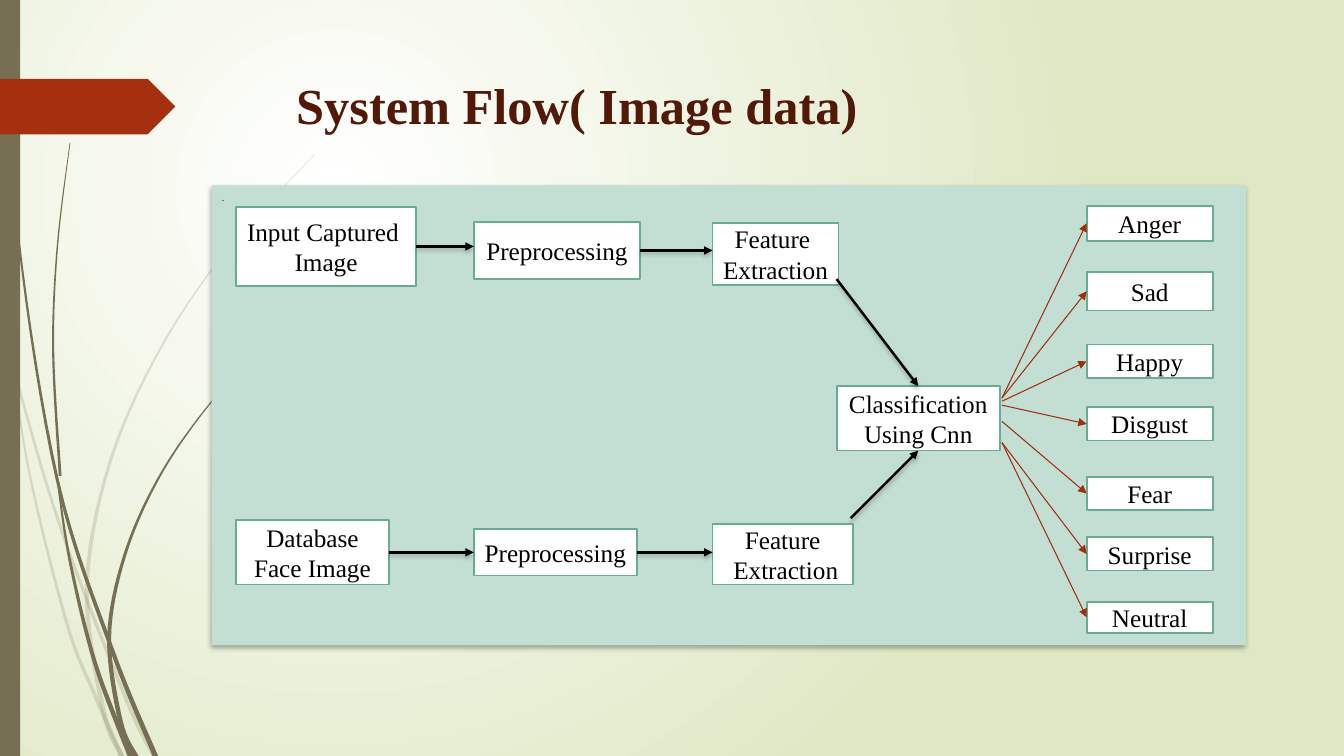
"""Build the system flow slide for emotion recognition from image data."""
from typing import NamedTuple

from lxml import etree
from pptx import Presentation
from pptx.dml.color import RGBColor
from pptx.enum.shapes import MSO_CONNECTOR, MSO_SHAPE
from pptx.enum.text import MSO_ANCHOR, PP_ALIGN
from pptx.oxml.ns import qn
from pptx.util import Pt

RECT, PENTAGON = MSO_SHAPE.RECTANGLE, MSO_SHAPE.PENTAGON
STRAIGHT = MSO_CONNECTOR.STRAIGHT
TOP, MIDDLE = MSO_ANCHOR.TOP, MSO_ANCHOR.MIDDLE
LEFT, CENTER = PP_ALIGN.LEFT, PP_ALIGN.CENTER


class Area(NamedTuple):
    left: float
    top: float
    width: float
    height: float

    @property
    def right(self):
        return self.left + self.width

    @property
    def bottom(self):
        return self.top + self.height

    @property
    def center(self):
        return self.left + self.width / 2

    @property
    def middle(self):
        return self.top + self.height / 2


THEME = {
    "font": "Times New Roman", "title_size": 36, "box_size": 18, "dot_size": 8,
    "glow": "FFFFFF", "backdrop": "DFE8C4", "stalk": "766F54", "banner": "A53010",
    "title": "521808", "panel": "C3DED3", "dot": "002060", "box": "FFFFFF",
    "border": "6AAC91", "ink": "000000", "ray": "9E2E0F",
    "border_width": 1.25, "step_width": 1.75, "ray_width": 0.75,
}

SLIDE_WIDTH, SLIDE_HEIGHT = 960, 540
TITLE = "System Flow( Image data)"
TITLE_AREA = Area(204.5, 49.5, 685.4, 74.2)
PANEL_AREA = Area(151.2, 132.5, 738.7, 328.3)
BANNER_AREA = Area(0, 56.3, 125.3, 39.6)
SIDEBAR_AREA = Area(0, 0, 14.4, SLIDE_HEIGHT)

SOURCE_LEFT, PREP_LEFT, FEATURES_LEFT, CLASSIFIER_LEFT = 168.5, 338.4, 509, 597.6
STAGES = {
    "input": (["Input Captured ", "Image"], Area(SOURCE_LEFT, 147.6, 128.9, 56.9)),
    "image prep": (["Preprocessing"], Area(PREP_LEFT, 158.4, 118.8, 41)),
    "image features": (["Feature ", "Extraction"], Area(FEATURES_LEFT, 159.1, 90, 44.6)),
    "classifier": (["Classification", "Using Cnn"], Area(CLASSIFIER_LEFT, 275.8, 116.6, 46.1)),
    "database": (["Database Face Image"], Area(SOURCE_LEFT, 371.5, 109.4, 46.1)),
    "face prep": (["Preprocessing"], Area(PREP_LEFT, 378, 116.6, 33.1)),
    "face features": (["Feature", " Extraction"], Area(FEATURES_LEFT, 374.4, 100.1, 43.2)),
}
STEPS = [
    ("input", "image prep"), ("image prep", "image features"),
    ("database", "face prep"), ("face prep", "face features"),
]
IMAGE_EXIT, FACE_EXIT = (597.6, 199.4), (607.7, 370.1)

EMOTION_LEFT, EMOTION_WIDTH, RAY_LEFT = 776.2, 90, 715.7
EMOTIONS = [
    ("Anger", 146.9, 25.2, 284.4), ("Sad", 194.4, 27.4, 284.4),
    ("Happy", 246.2, 23.8, 286.6), ("Disgust", 290.9, 23.8, 289.4),
    ("Fear", 340.6, 23.8, 301), ("Surprise", 383.8, 23.8, 316.1),
    ("Neutral", 429.8, 22.3, 316.1),
]

PALE_OPACITY, DARK_OPACITY = 20, 100
CURVE_STEPS = 8
STALKS = [
    (PALE_OPACITY, 1, 3.5, [(0, 209), (9, 259), (43, 376), (90, 499), (110, 540)]),
    (PALE_OPACITY, 1, 3.5, [(8, 252), (21, 338), (48, 446), (68, 497), (87, 540)]),
    (PALE_OPACITY, 0.5, 4, [(225, 110), (164, 176), (114, 250), (78, 332), (62, 421),
                            (74, 508), (87, 540)]),
    (DARK_OPACITY, 0.5, 4, [(2.5, 0), (13, 168), (41, 343), (80, 464), (111, 540)]),
    (DARK_OPACITY, 1, 4, [(41, 343), (50, 401), (68, 474), (93, 540)]),
    (DARK_OPACITY, 0.5, 2, [(50, 102), (41, 176), (38, 251), (43, 340)]),
    (DARK_OPACITY, 0.5, 4, [(187, 248), (147, 292), (113, 342), (89, 397), (78, 455),
                            (86, 515), (97, 540)]),
]


def theme_color(key):
    return RGBColor.from_string(THEME[key])


def add_child(parent, tag, **attributes):
    child = etree.SubElement(parent, qn(tag))
    for key, value in attributes.items():
        child.set(key, str(value))
    return child


def cast_shadow(effects, blur, distance, opacity):
    cast = add_child(effects, "a:outerShdw", blurRad=Pt(blur), dist=Pt(distance),
                     dir=5400000, algn="ctr", rotWithShape=0)
    ink = add_child(cast, "a:srgbClr", val=THEME["ink"])
    add_child(ink, "a:alpha", val=opacity * 1000)


def paint(shape, fill, border=None):
    shape.shadow.inherit = False
    shape.fill.solid()
    shape.fill.fore_color.rgb = theme_color(fill)
    if border:
        shape.line.color.rgb = theme_color(border)
        shape.line.width = Pt(THEME["border_width"])
    else:
        shape.line.fill.background()
    return shape


def add_block(slide, area, fill, border=None, preset=RECT):
    return paint(slide.shapes.add_shape(preset, *map(Pt, area)), fill, border)


def write(shape, lines, size, color, align=CENTER, anchor=MIDDLE, bold=False):
    frame = shape.text_frame
    frame.word_wrap = True
    frame.vertical_anchor = anchor
    for index, line in enumerate(lines):
        paragraph = frame.add_paragraph() if index else frame.paragraphs[0]
        paragraph.alignment = align
        run = paragraph.add_run()
        run.text = line
        run.font.name = THEME["font"]
        run.font.size = Pt(THEME[size])
        run.font.bold = bold
        run.font.color.rgb = theme_color(color)


def add_box(slide, lines, area):
    write(add_block(slide, area, "box", "border"), lines, "box_size", "ink")


def add_arrow(slide, start, end, color, width, shaded=False):
    arrow = slide.shapes.add_connector(STRAIGHT, *map(Pt, start + end))
    arrow.line.color.rgb = theme_color(color)
    arrow.line.width = Pt(THEME[width])
    add_child(arrow._element.spPr.find(qn("a:ln")), "a:tailEnd", type="triangle")
    effects = add_child(arrow._element.spPr, "a:effectLst")
    if shaded:
        cast_shadow(effects, 3, 2, 25)


def add_backdrop(slide):
    fill = slide.background.fill
    fill.gradient()
    for stop, key in zip(fill.gradient_stops, ("glow", "backdrop")):
        stop.color.rgb = theme_color(key)
    gradient = slide._element.find(".//" + qn("a:gradFill"))
    gradient.remove(gradient.find(qn("a:lin")))
    circle = add_child(gradient, "a:path", path="circle")
    add_child(circle, "a:fillToRect", l=50000, t=50000, r=100000, b=100000)


def spline(before, start, end, after, t):
    return (2 * start + (end - before) * t
            + (2 * before - 5 * start + 4 * end - after) * t ** 2
            + (3 * start - before - 3 * end + after) * t ** 3) / 2


def smooth_curve(knots):
    padded = [knots[0], *knots, knots[-1]]
    curve = [tuple(spline(*axis, step / CURVE_STEPS) for axis in zip(*padded[i:i + 4]))
             for i in range(len(knots) - 1) for step in range(CURVE_STEPS)]
    return curve + [knots[-1]]


def add_stalk(slide, opacity, tip_width, root_width, knots):
    curve = smooth_curve(knots)
    left_edge, right_edge = [], []
    for index, (x, y) in enumerate(curve):
        half = (tip_width + (root_width - tip_width) * index / (len(curve) - 1)) / 2
        left_edge.append((x - half, y))
        right_edge.append((x + half, y))
    outline = [(Pt(x), Pt(y)) for x, y in left_edge + right_edge[::-1]]
    builder = slide.shapes.build_freeform(*outline[0])
    builder.add_line_segments(outline[1:], close=True)
    stalk = paint(builder.convert_to_shape(), "stalk")
    tint = stalk._element.spPr.find(qn("a:solidFill"))[0]
    add_child(tint, "a:alpha", val=opacity * 1000)


def add_scenery(slide):
    add_backdrop(slide)
    for stalk in STALKS:
        add_stalk(slide, *stalk)
    add_block(slide, SIDEBAR_AREA, "stalk")
    add_block(slide, BANNER_AREA, "banner", preset=PENTAGON)


def add_heading_and_panel(slide):
    heading = slide.shapes.add_textbox(*map(Pt, TITLE_AREA))
    write(heading, [TITLE], "title_size", "title", LEFT, TOP, bold=True)
    panel = add_block(slide, PANEL_AREA, "panel")
    cast_shadow(panel._element.spPr.find(qn("a:effectLst")), 3.5, 2.2, 32)
    write(panel, ["."], "dot_size", "dot", LEFT, TOP)


def add_flow(slide):
    for lines, area in STAGES.values():
        add_box(slide, lines, area)
    areas = {stage: area for stage, (_, area) in STAGES.items()}
    classifier = areas["classifier"]
    routes = [((areas[source].right, areas[source].middle),
               (areas[target].left, areas[source].middle)) for source, target in STEPS]
    routes.append((IMAGE_EXIT, (classifier.center, classifier.top)))
    routes.append((FACE_EXIT, (classifier.center, classifier.bottom)))
    for start, end in routes:
        add_arrow(slide, start, end, "ink", "step_width", shaded=True)


def add_emotions(slide):
    for emotion, top, height, ray_top in EMOTIONS:
        area = Area(EMOTION_LEFT, top, EMOTION_WIDTH, height)
        add_box(slide, [emotion], area)
        add_arrow(slide, (RAY_LEFT, ray_top), (area.left, area.middle), "ray", "ray_width")


def main():
    deck = Presentation()
    deck.slide_width, deck.slide_height = Pt(SLIDE_WIDTH), Pt(SLIDE_HEIGHT)
    slide = deck.slides.add_slide(deck.slide_layouts[6])
    for add_part in (add_scenery, add_heading_and_panel, add_flow, add_emotions):
        add_part(slide)
    deck.save("out.pptx")


if __name__ == "__main__":
    main()
